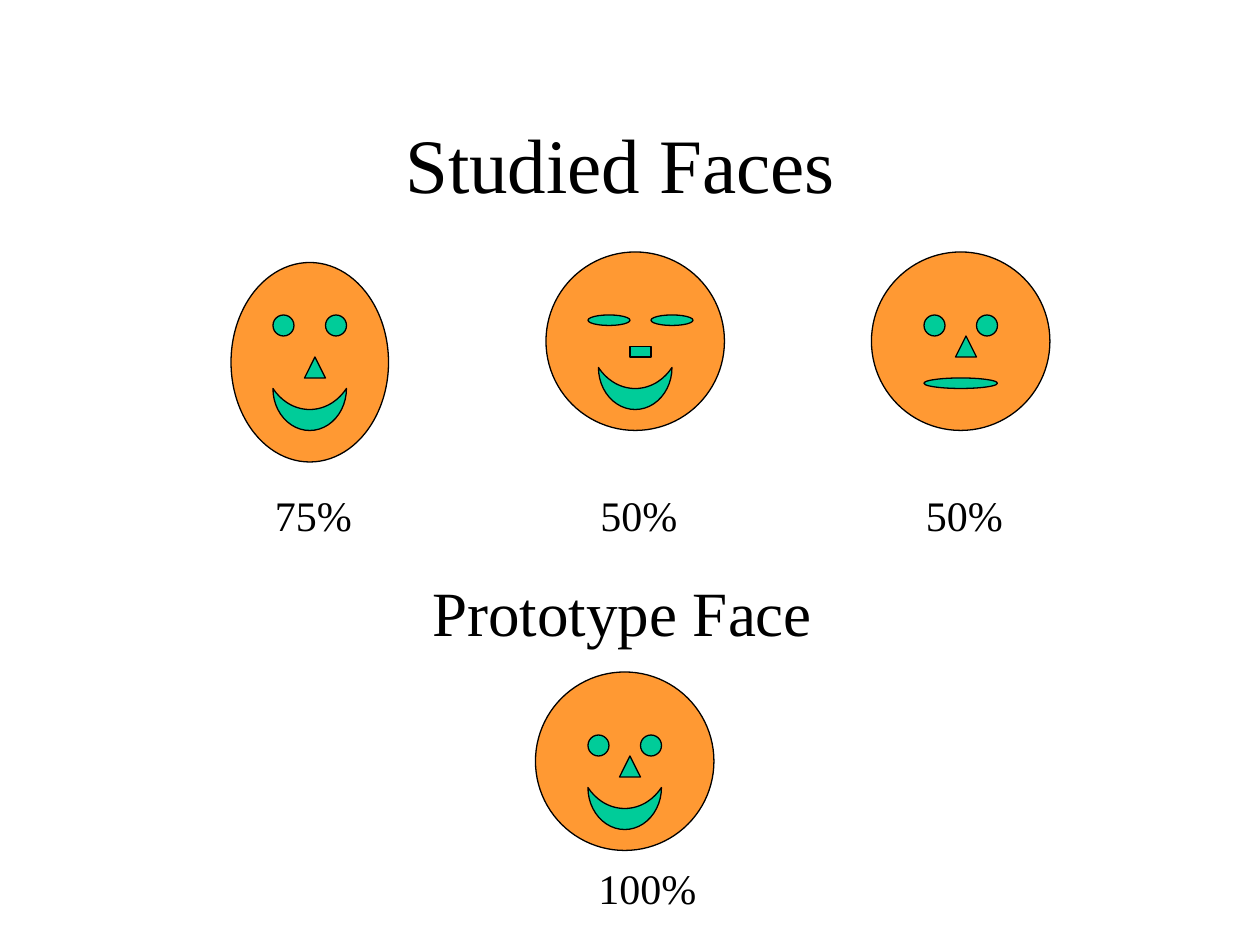
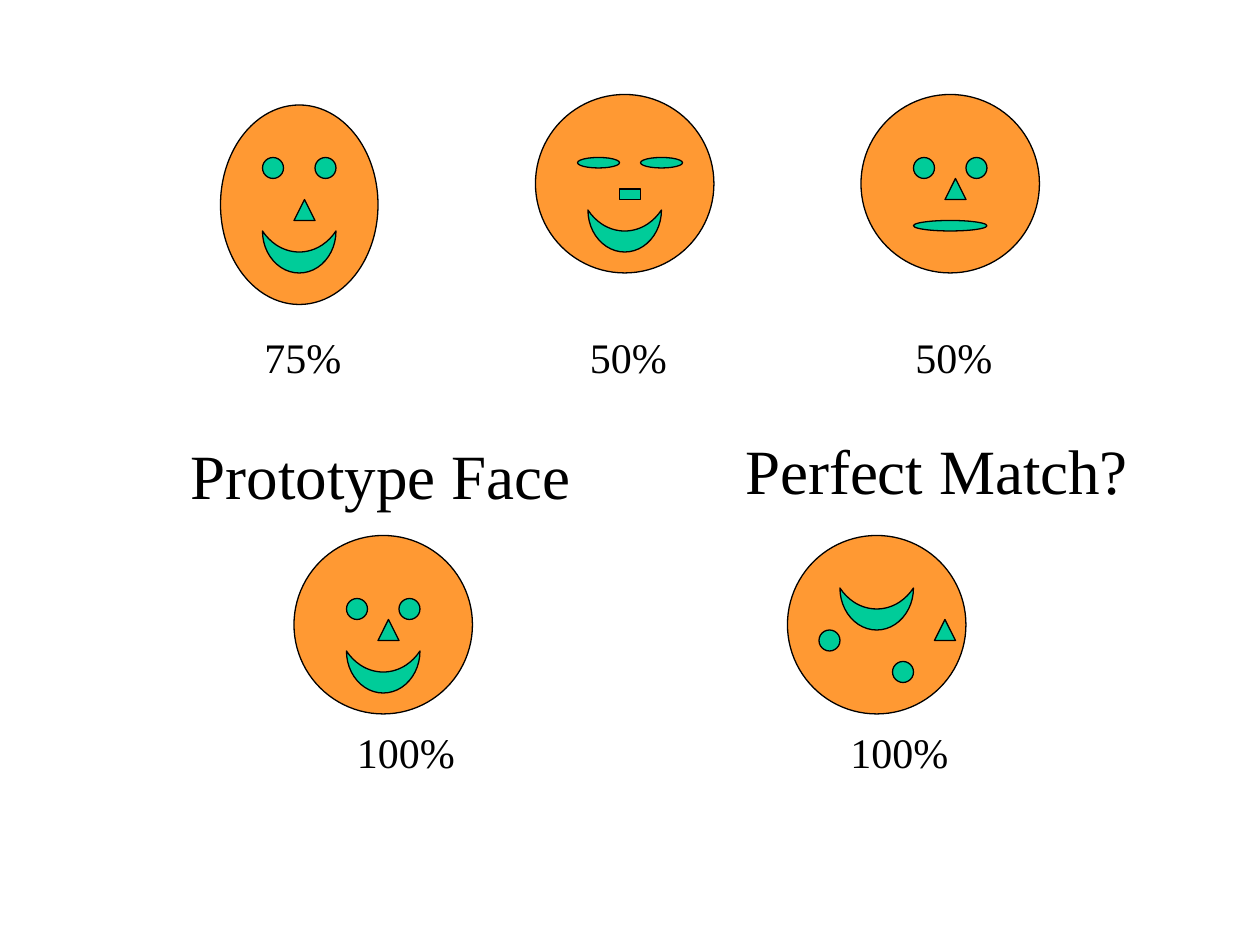
import pptx
import pptx.dml.color
import pptx.enum.shapes
import pptx.enum.text
import pptx.util

rgb = pptx.dml.color.RGBColor.from_string
MSO = pptx.enum.shapes.MSO_SHAPE
ALIGN = pptx.enum.text.PP_ALIGN
ANCHOR = pptx.enum.text.MSO_ANCHOR
FIT = pptx.enum.text.MSO_AUTO_SIZE

FONT = "Times New Roman"
INK = "000000"
SKIN = "FF9933"
FEATURE = "00CC99"

prs = pptx.Presentation()
prs.slide_width = pptx.util.Inches(10)
prs.slide_height = pptx.util.Inches(7.5)
cell = prs.slide_width / 120


def write(sp, text, size=24, align=ALIGN.LEFT, anchor=ANCHOR.TOP, wrap=True, fit=FIT.SHAPE_TO_FIT_TEXT):
    tf = sp.text_frame
    tf.word_wrap = wrap
    tf.auto_size = fit
    tf.vertical_anchor = anchor
    p = tf.paragraphs[0]
    p.alignment = align
    r = p.add_run()
    r.text = text
    r.font.name = FONT
    r.font.size = pptx.util.Pt(size)
    r.font.color.rgb = rgb(INK)


def draw(s, kind, col, row, cols, rows, fill=FEATURE):
    box = [round(n * cell) for n in (col, row, cols, rows)]
    sp = s.shapes.add_shape(kind, *box)
    sp.shadow.inherit = False
    sp.fill.solid()
    sp.fill.fore_color.rgb = rgb(fill)
    sp.line.color.rgb = rgb(INK)
    sp.line.width = pptx.util.Pt(0.75)
    if kind == MSO.MOON:
        sp.rotation = 270


eye = (MSO.OVAL, 2, 2)
closed_eye = (MSO.OVAL, 4, 1)
nose = (MSO.ISOSCELES_TRIANGLE, 2, 2)
square_nose = (MSO.RECTANGLE, 2, 1)
smile = (MSO.MOON, 4, 7)
flat_mouth = (MSO.OVAL, 7, 1)

round_head = (17, 17)
faces = {
    "long": ((15, 19), [(eye, 4, 5), (eye, 9, 5), (nose, 7, 9), (smile, 5.5, 10.5)]),
    "sleepy": (round_head, [(closed_eye, 4, 6), (closed_eye, 10, 6), (square_nose, 8, 9), (smile, 6.5, 9.5)]),
    "neutral": (round_head, [(eye, 5, 6), (eye, 10, 6), (nose, 8, 8), (flat_mouth, 5, 12)]),
    "prototype": (round_head, [(eye, 5, 6), (eye, 10, 6), (nose, 8, 8), (smile, 6.5, 9.5)]),
    "scrambled": (round_head, [(eye, 10, 12), (eye, 3, 9), (nose, 14, 8), (smile, 6.5, 3.5)]),
}

studied = [("long", 0, 1, "75%", 3), ("sleepy", 30, 0, "50%", 4), ("neutral", 61, 0, "50%", 4)]

slides = [
    {
        "title": "Studied Faces ",
        "studied_at": (22, 24),
        "matches": [("prototype", 51, 64)],
        "headings": [("Prototype Face", 40, 54, 45.7, True)],
    },
    {
        "title": None,
        "studied_at": (21, 9),
        "matches": [("prototype", 28, 51), ("scrambled", 75, 51)],
        "headings": [("Prototype Face", 17, 41, 45.7, True), ("Perfect Match?", 69.8, 40.5, 38.9, False)],
    },
]

for page in slides:
    s = prs.slides.add_slide(prs.slide_layouts[5 if page["title"] else 6])
    if page["title"]:
        sp = s.shapes.title
        sp.left, sp.top, sp.width, sp.height = [round(n * cell) for n in (9, 8, 102, 15)]
        write(sp, page["title"], size=44, align=ALIGN.CENTER, anchor=ANCHOR.MIDDLE, fit=FIT.NONE)

    left, top = page["studied_at"]
    placed = [(name, left + dx, top + dy) for name, dx, dy, share, indent in studied]
    for name, col, row in placed + page["matches"]:
        head, features = faces[name]
        draw(s, MSO.OVAL, col, row, *head, fill=SKIN)
        for (kind, cols, rows), dx, dy in features:
            draw(s, kind, col + dx, row + dy, cols, rows)

    labels = [(share, left + dx + indent, top + 22, 11, 6, 24, True) for name, dx, dy, share, indent in studied]
    labels += [("100%", col + 4.8, row + 17.6, 11.8, 6, 24, False) for name, col, row in page["matches"]]
    labels += [(text, col, row, cols, 8.4, 36, wrap) for text, col, row, cols, wrap in page["headings"]]
    for text, col, row, cols, rows, size, wrap in labels:
        sp = s.shapes.add_textbox(*[round(n * cell) for n in (col, row, cols, rows)])
        write(sp, text, size=size, wrap=wrap)

prs.save("out.pptx")
